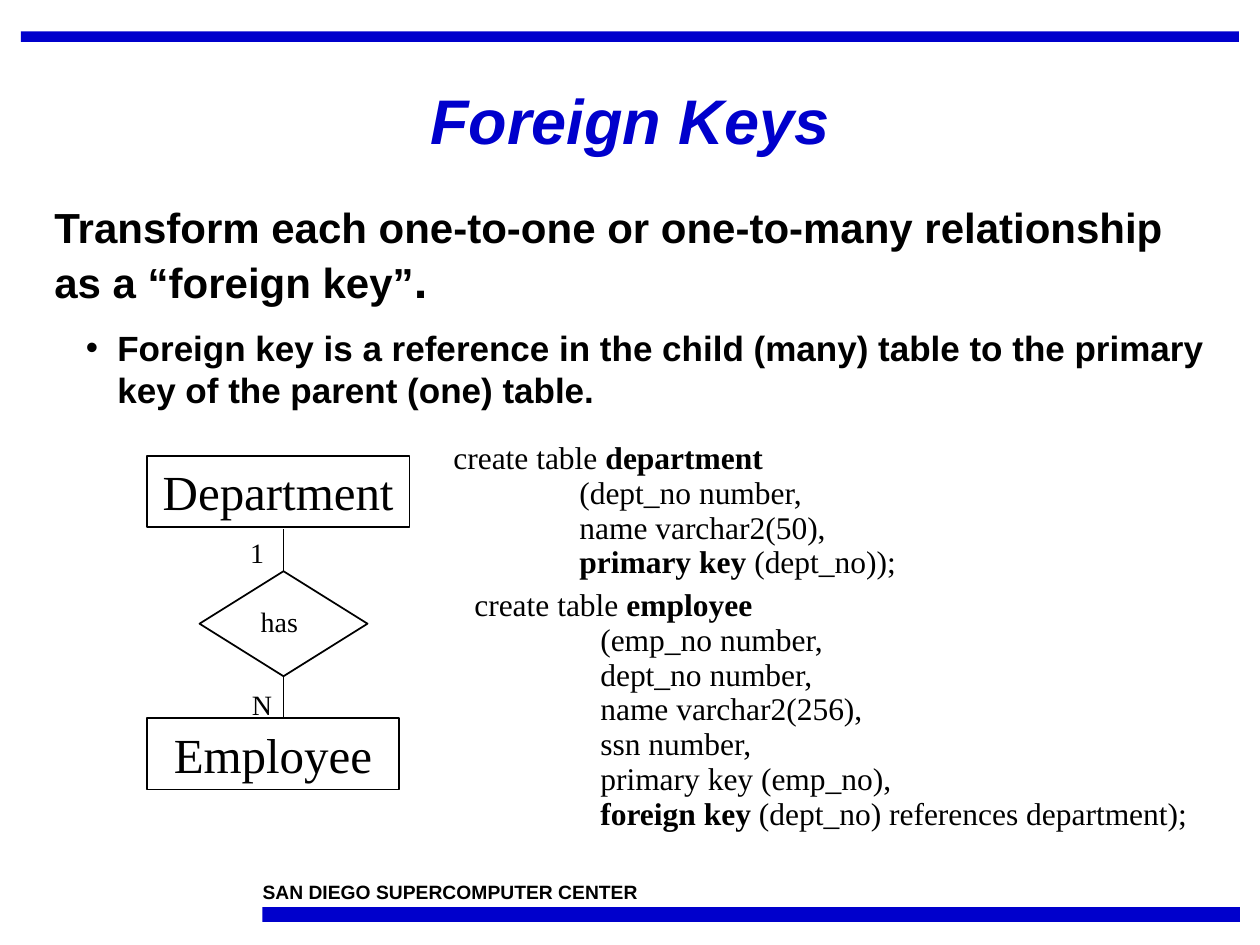
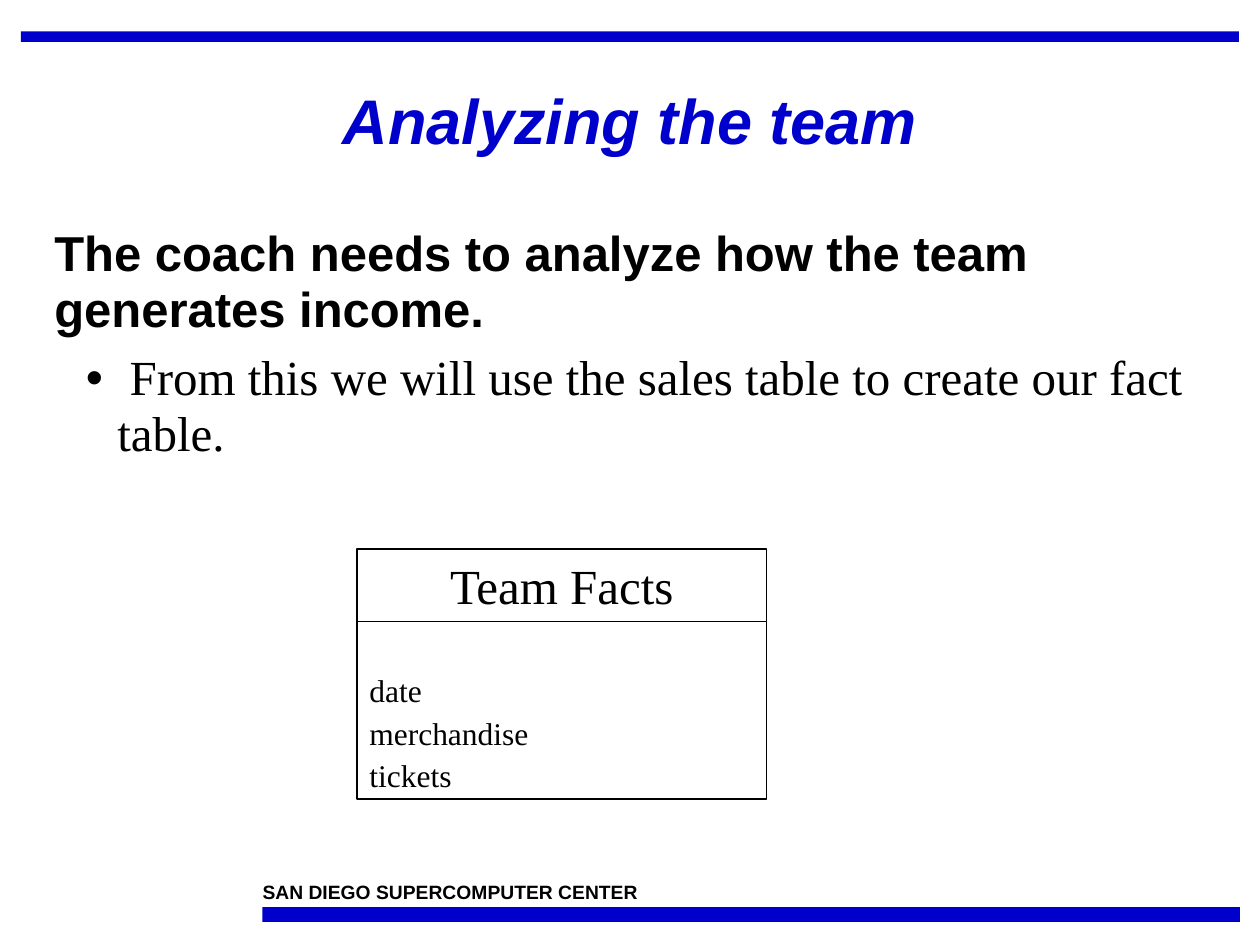
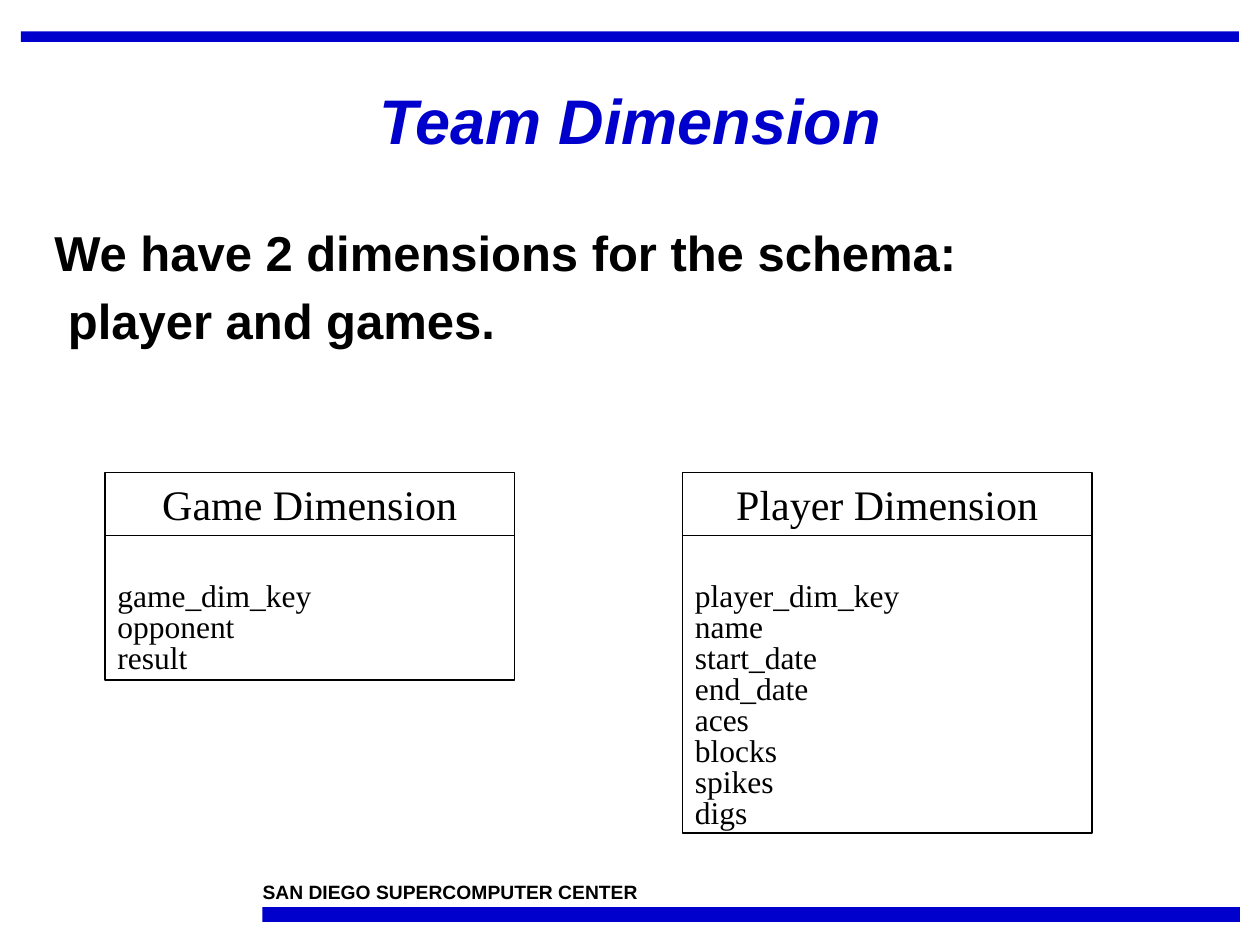
from pptx import Presentation
from pptx.dml.color import RGBColor
from pptx.enum.shapes import MSO_CONNECTOR as Link, MSO_SHAPE as Kind
from pptx.enum.text import MSO_ANCHOR as Anchor, PP_ALIGN as Align
from pptx.oxml.ns import qn
from pptx.util import Inches, Pt
from lxml import etree

BLUE, BLACK = "0000CC", "000000"
SANS, SERIF = "Arial", "Times New Roman"
CELL_PT = 6  # the grid has 120 columns and 90 rows of 6 points


def color(code):
    return RGBColor.from_string(code)


def cells(*nums):
    return [Pt(n * CELL_PT) for n in nums]


# Basic parts
def shape(slide, kind, box, fill=None):
    item = slide.shapes.add_shape(kind, *cells(*box))
    item.shadow.inherit = False
    if fill:
        item.fill.solid()
        item.fill.fore_color.rgb = color(fill)
        item.line.fill.background()
    else:
        item.fill.background()
        item.line.color.rgb = color(BLACK)
        item.line.width = Pt(1)
    return item


def label(slide, box, lines, size, **style):
    item = slide.shapes.add_textbox(*cells(*box))
    return write(item, lines, size, **style)


def write(item, lines, size, font=SERIF, ink=BLACK, bold=False,
          align=Align.LEFT, lead=None, gap=0):
    """Fill a shape with paragraphs; words between asterisks are bold."""
    frame = item.text_frame
    frame.word_wrap = True
    frame.vertical_anchor = Anchor.TOP
    for row, line in enumerate(lines):
        para = frame.add_paragraph() if row else frame.paragraphs[0]
        para.alignment = align
        para.line_spacing = lead
        para.space_before = Pt(gap if row else 0)
        for part, words in enumerate(line.split("*")):
            if words:
                run = para.add_run()
                run.text = words
                face = run.font
                face.name, face.size = font, Pt(size)
                face.bold = bold or part % 2 == 1
                face.color.rgb = color(ink)
    return frame


def indent(para, left, first=0):
    props = para._p.get_or_add_pPr()
    props.set("marL", str(Inches(left)))
    props.set("indent", str(Inches(first)))
    return props


def bullet(para):
    props = indent(para, 0.5, -0.25)
    etree.SubElement(props, qn("a:buFont")).set("typeface", SANS)
    etree.SubElement(props, qn("a:buChar")).set("char", "•")


def line(slide, col, top, end):
    item = slide.shapes.add_connector(Link.STRAIGHT, *cells(col, top, col, end))
    item.line.color.rgb = color(BLACK)
    item.line.width = Pt(1)
    etree.SubElement(item._element.spPr, qn("a:effectLst"))
    return item


# Regions
def page(deck, title):
    slide = deck.slides.add_slide(deck.slide_layouts[6])
    shape(slide, Kind.RECTANGLE, (2, 3, 116, 1), BLUE)
    shape(slide, Kind.RECTANGLE, (25, 86.4, 93.1, 1.4), BLUE)
    foot = label(slide, (25, 83.8, 45, 2.2), ["SAN DIEGO SUPERCOMPUTER CENTER"],
                 11, font=SANS, bold=True)
    foot.margin_left = foot.margin_right = foot.margin_top = foot.margin_bottom = 0
    head = label(slide, (2, 5, 116, 13.7), [title], 36, font=SANS, ink=BLUE,
                 bold=True, align=Align.CENTER, lead=0.9)
    head.vertical_anchor = Anchor.MIDDLE
    head.paragraphs[0].runs[0].font.italic = True
    return slide


def body(slide, top, rows, lines, size=28):
    frame = label(slide, (4, top, 113, rows), lines, size, font=SANS,
                  bold=True, lead=0.95, gap=7)
    return frame.paragraphs


def code(slide, box, lines):
    frame = label(slide, box, lines, 18, lead=0.4, gap=11.2)
    for para in frame.paragraphs[1:]:
        indent(para, 1)


def diagram(slide, x, y):
    mid = {"align": Align.CENTER}
    gem = shape(slide, Kind.DIAMOND, (x + 5, y + 11, 16, 10))
    for name, row, wide in (("Department", 0, 25), ("Employee", 25, 24)):
        item = shape(slide, Kind.RECTANGLE, (x, y + row, wide, 6.8))
        write(item, [name], 28, **mid)
    for text, col, row, wide in (("has", 5.6, 13.6, 14), ("1", 8, 7, 5),
                                 ("N", 8.8, 21.5, 4.3)):
        label(slide, (x + col, y + row, wide, 4.4), [text], 16, **mid)
    line(slide, x + 13, y + 11, y + 7).begin_connect(gem, 0)
    line(slide, x + 13, y + 21, y + 25).begin_connect(gem, 2)


def entity(slide, x, y, name, fields, size, head, lead):
    wide, gap = 39, 11.2
    top = shape(slide, Kind.RECTANGLE, (x, y, wide, head))
    write(top, [name], size, align=Align.CENTER)
    tall = 5 + len(fields) * (gap + 21 * lead) / CELL_PT
    base = shape(slide, Kind.RECTANGLE, (x, y + head, wide, tall))
    write(base, fields, 18, lead=lead, gap=gap).margin_top = Inches(0.5)


# Slides
def keys(deck):
    slide = page(deck, "Foreign Keys")
    lead, note = body(slide, 19, 20.9, [
        "Transform each one-to-one or one-to-many relationship as a “foreign key”*.*",
        "Foreign key is a reference in the child (many) table to the primary key"
        " of the parent (one) table."], 24)
    lead.runs[1].font.size = Pt(28)
    bullet(note)
    note.line_spacing = 1.0
    note.space_before = Pt(10)
    note.runs[0].font.size = Pt(20)
    diagram(slide, 14, 43.4)
    code(slide, (42, 43, 48, 12.6), [
        "create table *department*", "(dept_no number,", "name varchar2(50),",
        "*primary key* (dept_no));"])
    code(slide, (44, 57, 72, 22.6), [
        "create table *employee*", "(emp_no number,", "dept_no number,",
        "name varchar2(256),", "ssn number,", "primary key (emp_no),",
        "*foreign key* (dept_no) references department);"])


def facts(deck):
    slide = page(deck, "Analyzing the team")
    note = body(slide, 21, 23.6, [
        "The coach needs to analyze how the team generates income.",
        " From this we will use the sales table to create our fact table."])[1]
    bullet(note)
    face = note.runs[0].font
    face.name, face.bold = SERIF, False
    entity(slide, 34, 52.3, "Team Facts", ["date", "merchandise", "tickets"],
           28, 6.9, 0.6)


def sides(deck):
    slide = page(deck, "Team Dimension")
    body(slide, 21, 13.1, ["We have 2 dimensions for the schema:",
                           " player and games."])
    tables = {
        "Game": ["game_dim_key", "opponent", "result"],
        "Player": ["player_dim_key", "name", "start_date", "end_date", "aces",
                   "blocks", "spikes", "digs"],
    }
    for col, (name, fields) in enumerate(tables.items()):
        entity(slide, 10 + 55 * col, 45, f"{name} Dimension", fields, 24, 6, 0.3)


def main():
    deck = Presentation()
    deck.slide_width, deck.slide_height = Inches(10), Inches(7.5)
    for build in (keys, facts, sides):
        build(deck)
    deck.save("out.pptx")


if __name__ == "__main__":
    main()
